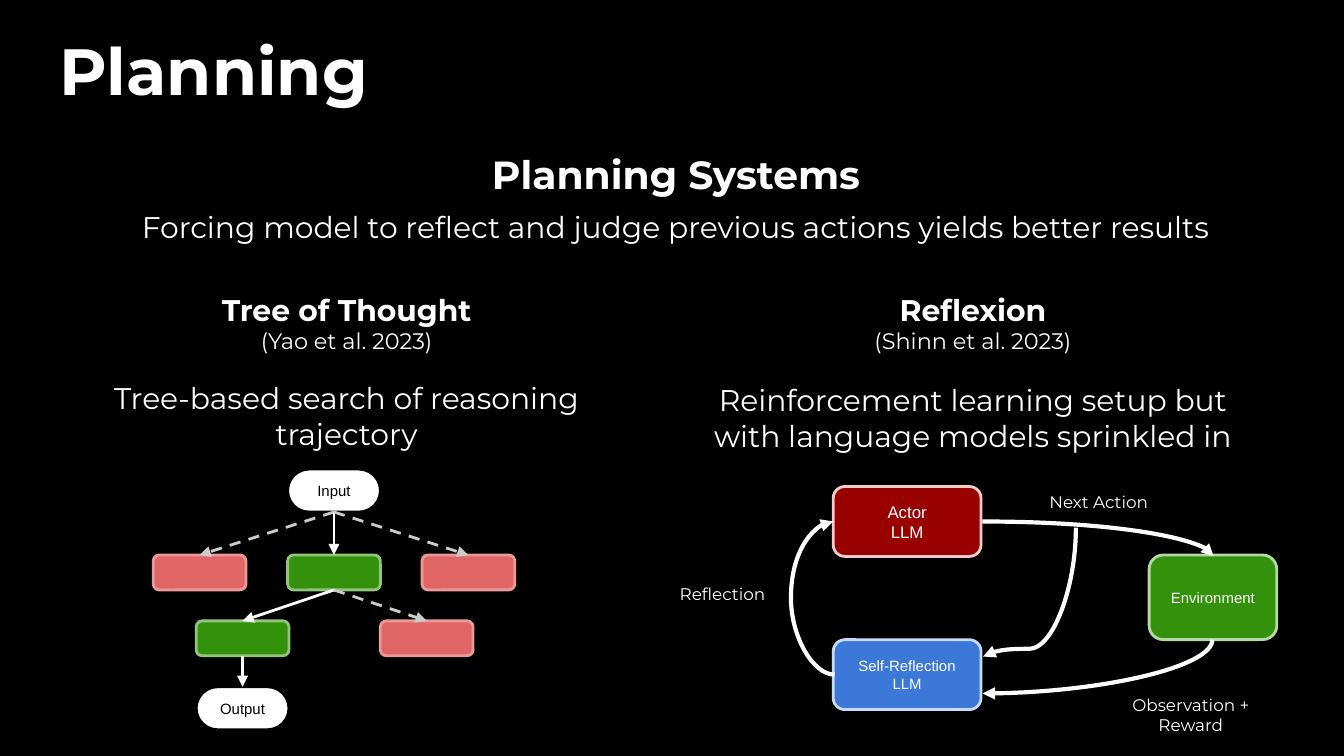
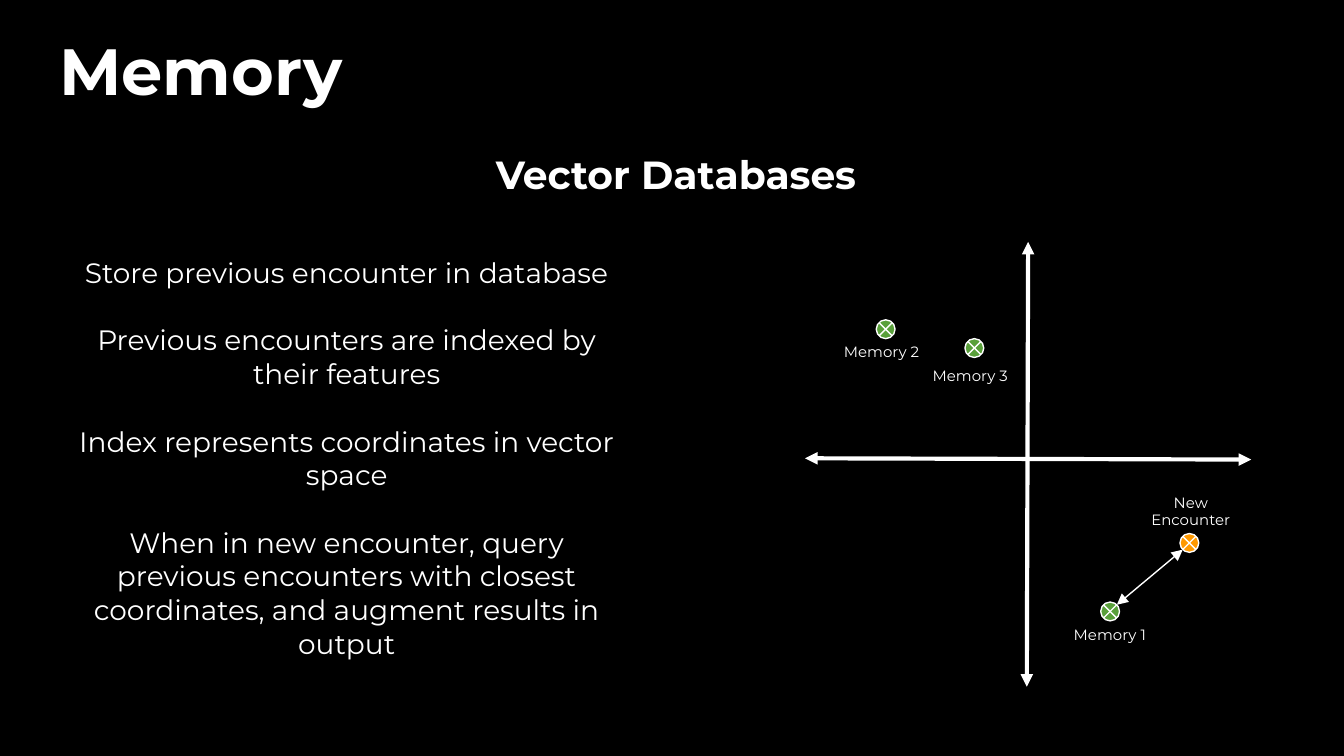
from lxml import etree
from pptx import Presentation
from pptx.dml.color import RGBColor
from pptx.enum import dml, shapes, text
from pptx.oxml import ns
from pptx.util import Inches, Pt

BLACK = RGBColor(0x00, 0x00, 0x00)
WHITE = RGBColor(0xFF, 0xFF, 0xFF)
GREY = RGBColor(0xCC, 0xCC, 0xCC)
GREEN = RGBColor(0x33, 0x91, 0x0C)
GREEN_EDGE = RGBColor(0x93, 0xC4, 0x7D)
PALE_GREEN = RGBColor(0xB6, 0xD7, 0xA8)
RED = RGBColor(0xE0, 0x66, 0x66)
RED_EDGE = RGBColor(0xEA, 0x99, 0x99)
DARK_RED = RGBColor(0x99, 0x00, 0x00)
PALE_RED = RGBColor(0xF4, 0xCC, 0xCC)
BLUE = RGBColor(0x3C, 0x78, 0xD8)
PALE_BLUE = RGBColor(0xC9, 0xDA, 0xF8)
MEMORY_GREEN = RGBColor(0x59, 0xA0, 0x3A)
ORANGE = RGBColor(0xFF, 0x99, 0x00)

HEADING_FONT = "Montserrat"
DIAGRAM_FONT = "Arial"
TOP, BOTTOM = 0, 2
CENTER = text.PP_ALIGN.CENTER
LEFT = text.PP_ALIGN.LEFT
NODE_WIDTH = 0.69


def style_font(para, size, color=WHITE, name=HEADING_FONT, bold=False):
    para.font.name = name
    para.font.size = Pt(size)
    para.font.bold = bold
    para.font.color.rgb = color


def set_margins(frame):
    frame.margin_left = frame.margin_right = Inches(0.1)
    frame.margin_top = frame.margin_bottom = Inches(0.1)


def add_titled_slide(deck, title):
    slide = deck.slides.add_slide(deck.slide_layouts[5])
    box = slide.shapes.title
    box.left, box.top = Inches(0.34), Inches(0.19)
    box.width, box.height = Inches(9.32), Inches(0.63)
    frame = box.text_frame
    frame.text = title
    frame.auto_size = text.MSO_AUTO_SIZE.NONE
    frame.vertical_anchor = text.MSO_ANCHOR.TOP
    set_margins(frame)
    para = frame.paragraphs[0]
    para.alignment = LEFT
    para.line_spacing = 0.9
    style_font(para, 35, bold=True)
    return slide


def add_text(slide, place, rows, align=CENTER, line_spacing=None):
    """Each row is (words, size, bold, points of space before)."""
    box = slide.shapes.add_textbox(*map(Inches, place))
    frame = box.text_frame
    frame.word_wrap = True
    set_margins(frame)
    for index, (words, size, bold, gap) in enumerate(rows):
        para = frame.add_paragraph() if index else frame.paragraphs[0]
        para.text = words
        para.alignment = align
        if line_spacing:
            para.line_spacing = line_spacing
        if gap:
            para.space_before = Pt(gap)
        style_font(para, size, bold=bold)
    return box


def add_label(slide, place, words, size, align=CENTER):
    return add_text(slide, place, [(words, size, False, 0)], align)


def add_heading(slide, *rows):
    add_text(slide, (0.46, 1, 9.14, 1.07), rows, line_spacing=1.05)


def add_filled(slide, kind, place, fill, edge, width):
    shape = slide.shapes.add_shape(kind, *map(Inches, place))
    shape.shadow.inherit = False
    shape.fill.solid()
    shape.fill.fore_color.rgb = fill
    shape.line.color.rgb = edge
    shape.line.width = Pt(width)
    return shape


def add_node(slide, place, fill, edge, lines=(), size=8, color=WHITE, corner=0.167):
    node = add_filled(slide, shapes.MSO_SHAPE.ROUNDED_RECTANGLE, place, fill, edge, 1.5)
    node.adjustments[0] = corner
    frame = node.text_frame
    frame.vertical_anchor = text.MSO_ANCHOR.MIDDLE
    set_margins(frame)
    for index, words in enumerate(lines):
        para = frame.add_paragraph() if index else frame.paragraphs[0]
        para.text = words
        para.alignment = CENTER
        style_font(para, size, color, DIAGRAM_FONT)
    return node


def add_pill(slide, left, top, words):
    return add_node(slide, (left, top, NODE_WIDTH, 0.32), WHITE, BLACK, [words],
                    color=BLACK, corner=0.5)


def add_step(slide, left, top, chosen):
    fill, edge = (GREEN, GREEN_EDGE) if chosen else (RED, RED_EDGE)
    return add_node(slide, (left, top, NODE_WIDTH, 0.26), fill, edge)


def style_line(line, width, ends, color=WHITE, dashed=False):
    line.line.color.rgb = color
    line.line.width = Pt(width)
    if dashed:
        line.line.dash_style = dml.MSO_LINE.DASH
    properties = line._element.spPr
    outline = properties.find(ns.qn("a:ln"))
    for end in ends:
        etree.SubElement(outline, ns.qn(f"a:{end}"), type="triangle")
    etree.SubElement(properties, ns.qn("a:effectLst"))


def add_double_arrow(slide, start, end, width):
    line = slide.shapes.add_connector(
        shapes.MSO_CONNECTOR.STRAIGHT, *map(Inches, (*start, *end)))
    style_line(line, width, ("headEnd", "tailEnd"))


def add_branch(slide, parent, child, chosen=True):
    line = slide.shapes.add_connector(shapes.MSO_CONNECTOR.STRAIGHT, 0, 0, 0, 0)
    line.begin_connect(parent, BOTTOM)
    line.end_connect(child, TOP)
    style_line(line, 1.5, ["tailEnd"], WHITE if chosen else GREY, not chosen)


def add_curve(slide, place, rotation=0, flip=False, bend=None):
    """Draw a curve in its unrotated frame; bend gives it a second turn."""
    left, top, width, height = place
    start, end = (left + width, left) if flip else (left, left + width)
    curve = slide.shapes.add_connector(
        shapes.MSO_CONNECTOR.CURVE, *map(Inches, (start, top, end, top + height)))
    properties = curve._element.spPr
    properties.find(ns.qn("a:xfrm")).set("rot", str(rotation * 60000))
    geometry = properties.find(ns.qn("a:prstGeom"))
    if bend is None:
        geometry.set("prst", "curvedConnector2")
    else:
        guides = geometry.find(ns.qn("a:avLst"))
        etree.SubElement(guides, ns.qn("a:gd"), name="adj1",
                         fmla=f"val {round(bend * 100000)}")
    style_line(curve, 2.25, ["headEnd"])


def add_thought_tree(slide):
    root = add_pill(slide, 2.14, 3.49, "Input")
    rejected_left, chosen, rejected_right = [
        add_step(slide, 1.14 + column, 4.13, column == 1) for column in range(3)]
    final = add_step(slide, 1.46, 4.62, True)
    rejected_low = add_step(slide, 2.83, 4.62, False)
    output = add_pill(slide, 1.46, 5.11, "Output")
    add_branch(slide, root, rejected_left, False)
    add_branch(slide, root, chosen)
    add_branch(slide, root, rejected_right, False)
    add_branch(slide, chosen, final)
    add_branch(slide, chosen, rejected_low, False)
    add_branch(slide, final, output)


def add_reflexion_loop(slide):
    add_node(slide, (8.55, 4.13, 0.95, 0.63), GREEN, PALE_GREEN, ["Environment"])
    add_node(slide, (6.2, 4.76, 1.1, 0.52), BLUE, PALE_BLUE, ["Self-Reflection", "LLM"])
    add_node(slide, (6.2, 3.62, 1.1, 0.52), DARK_RED, PALE_RED, ["Actor", "LLM"], size=9)
    add_curve(slide, (7.31, 4.76, 1.71, 0.4), 180, flip=True)
    add_curve(slide, (6.2, 3.88, 0.01, 1.14), bend=-32)
    add_curve(slide, (7.18, 4.06, 0.96, 0.69), 270, bend=0.06)
    add_curve(slide, (8.04, 3.15, 0.26, 1.72), 90, flip=True)
    add_label(slide, (7.71, 3.58, 1.1, 0.21), "Next Action", 9, LEFT)
    add_label(slide, (8.31, 5.07, 1.1, 0.21), "Observation + Reward", 9)
    reflection = add_label(slide, (4.85, 4.27, 1.05, 0.35), "Reflection", 9)
    reflection.text_frame.auto_size = text.MSO_AUTO_SIZE.SHAPE_TO_FIT_TEXT


def add_planning(deck):
    slide = add_titled_slide(deck, "Planning")
    add_heading(
        slide,
        ("Planning Systems", 21, True, 0),
        ("Forcing model to reflect and judge previous actions yields better results",
         16, False, 5.3))
    methods = [
        (0.46, 2.98, "Tree of Thought", "(Yao et al. 2023)",
         "Tree-based search of reasoning trajectory", 13.4),
        (5.12, 1.42, "Reflexion", "(Shinn et al. 2023)",
         "Reinforcement learning setup but with language models sprinkled in", 14.6),
    ]
    for left, height, name, citation, summary, gap in methods:
        add_text(slide, (left, 2.07, 4.24, height), [
            (name, 16, True, 0), (citation, 12, False, 0), (summary, 16, False, gap)])
    add_reflexion_loop(slide)
    add_thought_tree(slide)


def add_point(slide, left, top, color):
    add_filled(slide, shapes.MSO_SHAPE.FLOWCHART_SUMMING_JUNCTION,
               (left, top, 0.14, 0.14), color, WHITE, 0.75)


def add_vector_space(slide):
    add_double_arrow(slide, (7.65, 1.8), (7.64, 5.11), 2.25)
    add_double_arrow(slide, (9.31, 3.42), (5.99, 3.41), 2.25)
    memories = [
        ("Memory 1", (8.19, 4.48), (7.89, 4.59, 0.75)),
        ("Memory 2", (6.52, 2.38), (6.18, 2.48, 0.82)),
        ("Memory 3", (7.18, 2.52), (6.84, 2.66, 0.82)),
    ]
    for name, point, label in memories:
        add_point(slide, *point, MEMORY_GREEN)
        add_label(slide, (*label, 0.36), name, 8, LEFT)
    add_point(slide, 8.78, 3.97, ORANGE)
    add_label(slide, (8.45, 3.57, 0.82, 0.36), "New Encounter", 8)
    add_double_arrow(slide, (8.8, 4.09), (8.31, 4.5), 0.75)


def add_memory(deck):
    slide = add_titled_slide(deck, "Memory")
    add_heading(slide, ("Vector Databases", 21, True, 0))
    add_vector_space(slide)
    points = [
        "Store previous encounter in database",
        "Previous encounters are indexed by their features",
        "Index represents coordinates in vector space",
        "When in new encounter, query previous encounters with closest coordinates, "
        "and augment results in output",
    ]
    add_text(slide, (0.46, 1.8, 4.24, 2.98), [
        (point, 15, False, 18.2 if index else 0) for index, point in enumerate(points)])


def main():
    deck = Presentation()
    deck.slide_width = Inches(10)
    deck.slide_height = deck.slide_width * 9 // 16
    backdrop = deck.slide_master.background.fill
    backdrop.solid()
    backdrop.fore_color.rgb = BLACK
    add_planning(deck)
    add_memory(deck)
    deck.save("out.pptx")


if __name__ == "__main__":
    main()
